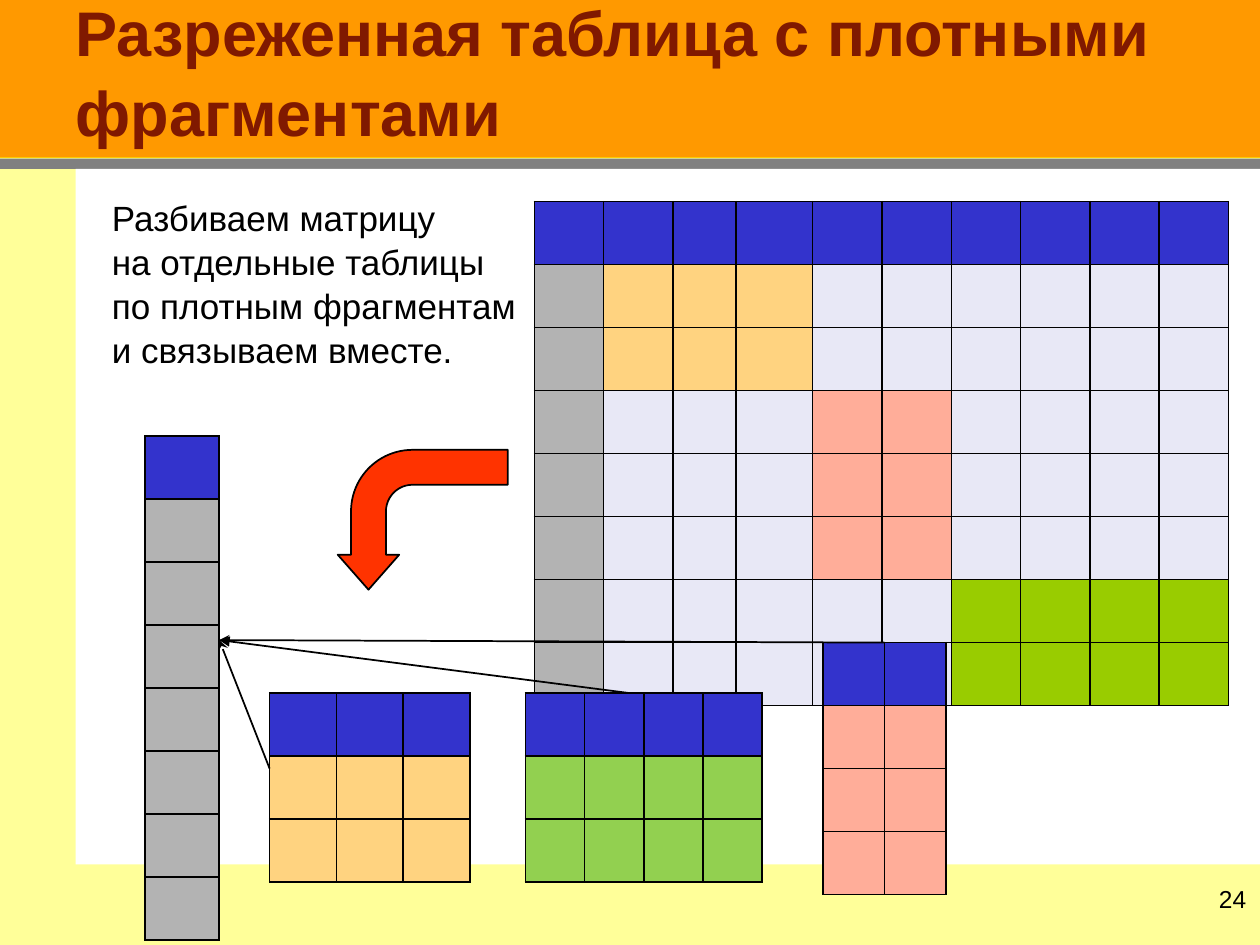
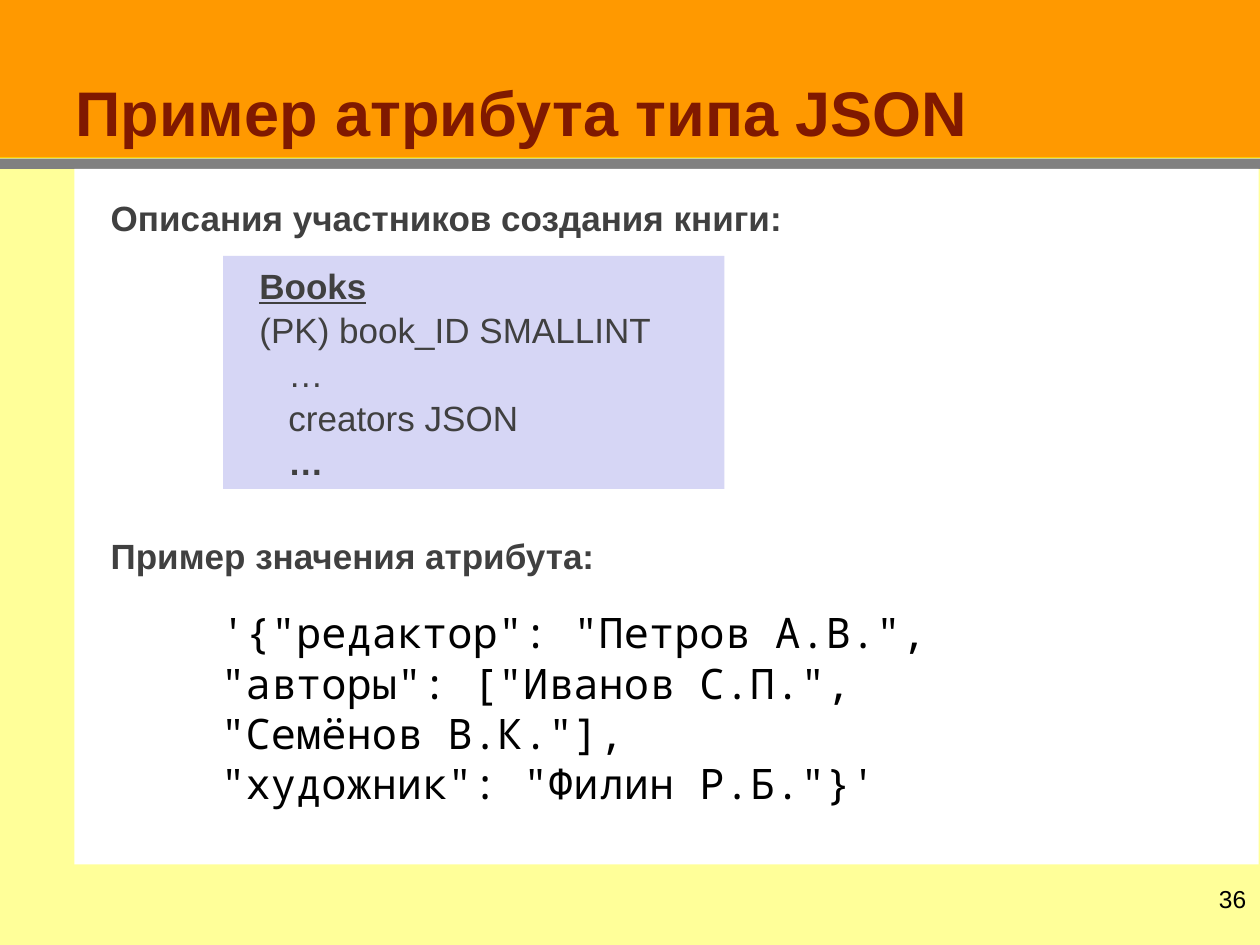
import pptx
import pptx.util
import pptx.dml.color
import pptx.enum.shapes
import pptx.enum.text
import pptx.oxml
import pptx.oxml.ns
from lxml import etree

WIDE, HIGH = 10, 7.5
ROW = 0.5
HUES = {
    "back": "B2B2B2", "band": "FF9900", "page": "FFFF99", "rule": "808080",
    "edge": "FFCC00", "title": "801900", "panel": "FFFFFF", "ink": "000000",
    "dark": "404040", "box": "D6D6F5", "arrow": "FF3300",
}
CELLS = {
    "H": "3333CC", "K": "B3B3B3", "Y": "FFD380", "-": "E8E8F6",
    "R": "FFAD99", "G": "99CC00", "L": "92D050",
}

# Each band: left, top, width, height, colour
BANDS = [
    (0, 0, WIDE, 1.25, "band"),
    (0, 1.25, WIDE, HIGH - 1.25, "page"),
    (0, 1.26, WIDE, 0.08, "rule"),
]

SPLIT = {
    "title": "Разреженная таблица с плотными фрагментами",
    "number": "24",
    "text": "Разбиваем матрицу\vна отдельные таблицы\v"
            "по плотным фрагментам\vи связываем вместе.",
}
# Each table: left, top, column widths, rows of cell codes
TABLES = [
    (4.24, 1.6, [0.55, 0.55, 0.5, 0.61] + [0.55] * 6,
     ["H" * 10] + ["KYYY------"] * 2 + ["K---RR----"] * 3 + ["K-----GGGG"] * 2),
    (2.14, 5.5, [0.53] * 3, ["HHH", "YYY", "YYY"]),
    (6.53, 5.1, [0.49] * 2, ["HH", "RR", "RR", "RR"]),
    (4.17, 5.5, [0.47] * 4, ["HHHH", "LLLL", "LLLL"]),
    (1.15, 3.46, [0.59], ["H"] + ["K"] * 7),
]
KEY = (1.74, 5.08)
LINKS = [((2.14, 6.1), "stealth"), ((4.99, 5.5), "triangle"), ((7.02, 5.1), "stealth")]

JSON = {
    "title": "Пример атрибута типа JSON",
    "number": "36",
    "heads": ["Описания участников создания книги:", "Пример значения атрибута:"],
    # Each line: text, left indent, format
    "book": [
        ("Books", 0.19, {"bold": True, "under": True}),
        ("(PK) book_ID SMALLINT", 0.19, {}),
        ("…", 0.42, {}),
        ("creators JSON", 0.42, {}),
        ("…", 0.42, {"bold": True}),
    ],
    "value": [
        "'{\"редактор\": \"Петров А.В.\",",
        "\"авторы\": [\"Иванов С.П.\", \"Семёнов В.К.\"],",
        "\"художник\": \"Филин Р.Б.\"}'",
    ],
}

ALIGN = pptx.enum.text.PP_ALIGN
ANCHOR = pptx.enum.text.MSO_ANCHOR
KIND = pptx.enum.shapes.MSO_SHAPE
qn = pptx.oxml.ns.qn


def inch(*sizes):
    return [pptx.util.Inches(size) for size in sizes]


def rgb(code):
    return pptx.dml.color.RGBColor.from_string(code)


def write(frame, text, size=20, hue="ink", font="Arial", bold=False, under=False,
          left=0, before=0, space=1.05, align=ALIGN.LEFT):
    """Add one paragraph, using the first one while it is still blank."""
    para = frame.paragraphs[0] if not frame.text else frame.add_paragraph()
    para.text = text
    para.alignment = align
    para.line_spacing = space
    para.space_before = pptx.util.Pt(before)
    props = para._p.get_or_add_pPr()
    props.set("marL", str(pptx.util.Inches(left)))
    props.set("indent", "0")
    for run in para.runs:
        run.font.name, run.font.size = font, pptx.util.Pt(size)
        run.font.bold, run.font.underline = bold, under
        run.font.color.rgb = rgb(HUES[hue])


def setup(frame, anchor=ANCHOR.TOP, pads=(0.1, 0.05, 0.1, 0.05)):
    frame.word_wrap = True
    frame.auto_size = pptx.enum.text.MSO_AUTO_SIZE.NONE
    frame.vertical_anchor = anchor
    (frame.margin_left, frame.margin_top,
     frame.margin_right, frame.margin_bottom) = inch(*pads)
    return frame


def shape(slide, kind, spot, hue, line=None):
    item = slide.shapes.add_shape(kind, *inch(*spot))
    item.shadow.inherit = False
    item.fill.solid()
    item.fill.fore_color.rgb = rgb(HUES[hue])
    if line:
        item.line.color.rgb = rgb(HUES[line])
        item.line.width = pptx.util.Pt(1)
    else:
        item.line.fill.background()
    return item


def note(slide, spot, **opts):
    return setup(slide.shapes.add_textbox(*inch(*spot)).text_frame, **opts)


def join(slide, start, end, hue="ink", head=None):
    item = slide.shapes.add_connector(
        pptx.enum.shapes.MSO_CONNECTOR.STRAIGHT, *inch(*start, *end))
    item.line.color.rgb = rgb(HUES[hue])
    item.line.width = pptx.util.Pt(1)
    if head:
        etree.SubElement(item.line._get_or_add_ln(), qn("a:tailEnd"), type=head)
    etree.SubElement(item.element.spPr, qn("a:effectLst"))
    return item


def border(cell):
    props = cell._tc.get_or_add_tcPr()
    for spot, side in enumerate(("a:lnL", "a:lnR", "a:lnT", "a:lnB")):
        line = etree.Element(qn(side), w=str(pptx.util.Pt(1)))
        fill = etree.SubElement(line, qn("a:solidFill"))
        etree.SubElement(fill, qn("a:srgbClr"), val=HUES["ink"])
        props.insert(spot, line)


def grid(slide, left, top, cols, rows):
    spot = inch(left, top, sum(cols), ROW * len(rows))
    table = slide.shapes.add_table(len(rows), len(cols), *spot).table
    for col, width in zip(table.columns, cols):
        col.width = pptx.util.Inches(width)
    for r, codes in enumerate(rows):
        table.rows[r].height = pptx.util.Inches(ROW)
        for c, code in enumerate(codes):
            cell = table.cell(r, c)
            cell.fill.solid()
            cell.fill.fore_color.rgb = rgb(CELLS[code])
            border(cell)


def dress(layout, slide):
    """Draw the shared bands and move them to the layout."""
    layout.background.fill.solid()
    layout.background.fill.fore_color.rgb = rgb(HUES["back"])
    parts = [shape(slide, KIND.RECTANGLE, band[:4], band[4]) for band in BANDS]
    parts.append(join(slide, (0, 1.25), (WIDE, 1.25), "edge"))
    for spot, part in enumerate(parts):
        layout.shapes.element.insert(2 + spot, part.element)


def start(slide, data, top, left):
    """Fill the title and page number; return the white panel's text frame."""
    title = slide.shapes.title
    title.left, title.top, title.width, title.height = inch(0, top, 9.99, 1.23 - top)
    write(setup(title.text_frame, ANCHOR.BOTTOM), data["title"],
          size=36, hue="title", bold=True, left=0.5)
    write(note(slide, (7.66, 6.97, 2.33, 0.52)), data["number"],
          size=14, space=1.0, align=ALIGN.RIGHT)
    panel = shape(slide, KIND.RECTANGLE, (left, 1.34, 9.4, 5.52), "panel")
    return setup(panel.text_frame, pads=(0.1, 0.2, 0.1, 0.05))


def split(slide):
    write(start(slide, SPLIT, -0.08, 0.6), SPLIT["text"], left=0.19)
    for table in TABLES:
        grid(slide, *table)
    for spot, head in LINKS:
        join(slide, spot, KEY, head=head)
    bent = shape(slide, KIND.BENT_ARROW, (2.8, 3.45, 1.11, 1.35), "arrow", "ink")
    for spot, value in enumerate((0.25, 0.22, 0.25, 0.44)):
        bent.adjustments[spot] = value
    bent.rotation = 270
    bent.element.spPr.find(qn("a:xfrm")).set("flipH", "1")


def sample(slide):
    panel = start(slide, JSON, 0.52, 0.59)
    for text, gap in zip(JSON["heads"], (0, 168)):
        write(panel, text, hue="dark", bold=True, left=0.19, before=gap)
    book = shape(slide, KIND.RECTANGLE, (1.77, 2.03, 3.98, 1.85), "box")
    frame = setup(book.text_frame)
    for text, left, style in JSON["book"]:
        write(frame, text, hue="dark", left=left, **style)
    frame = note(slide, (1.75, 5.01, 6.08, 1.37),
                 anchor=ANCHOR.MIDDLE, pads=(0, 0, 0, 0.16))
    for text in JSON["value"]:
        write(frame, text, size=24, font="Noto Sans Mono", space=pptx.util.Pt(28.8))


def main():
    deck = pptx.Presentation()
    deck.slide_width, deck.slide_height = inch(WIDE, HIGH)
    layout = deck.slide_layouts[5]
    first, second = [deck.slides.add_slide(layout) for _ in range(2)]
    dress(layout, first)
    split(first)
    sample(second)
    deck.save("out.pptx")


if __name__ == "__main__":
    main()
